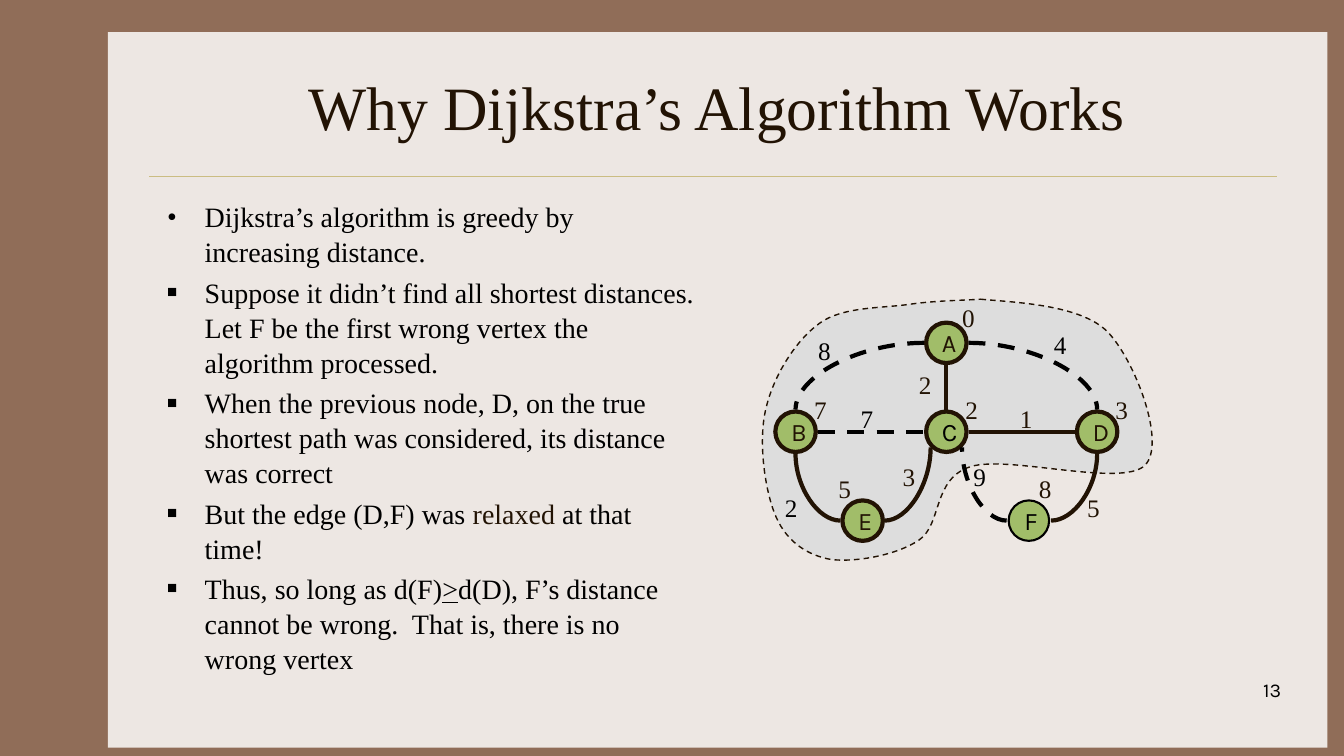
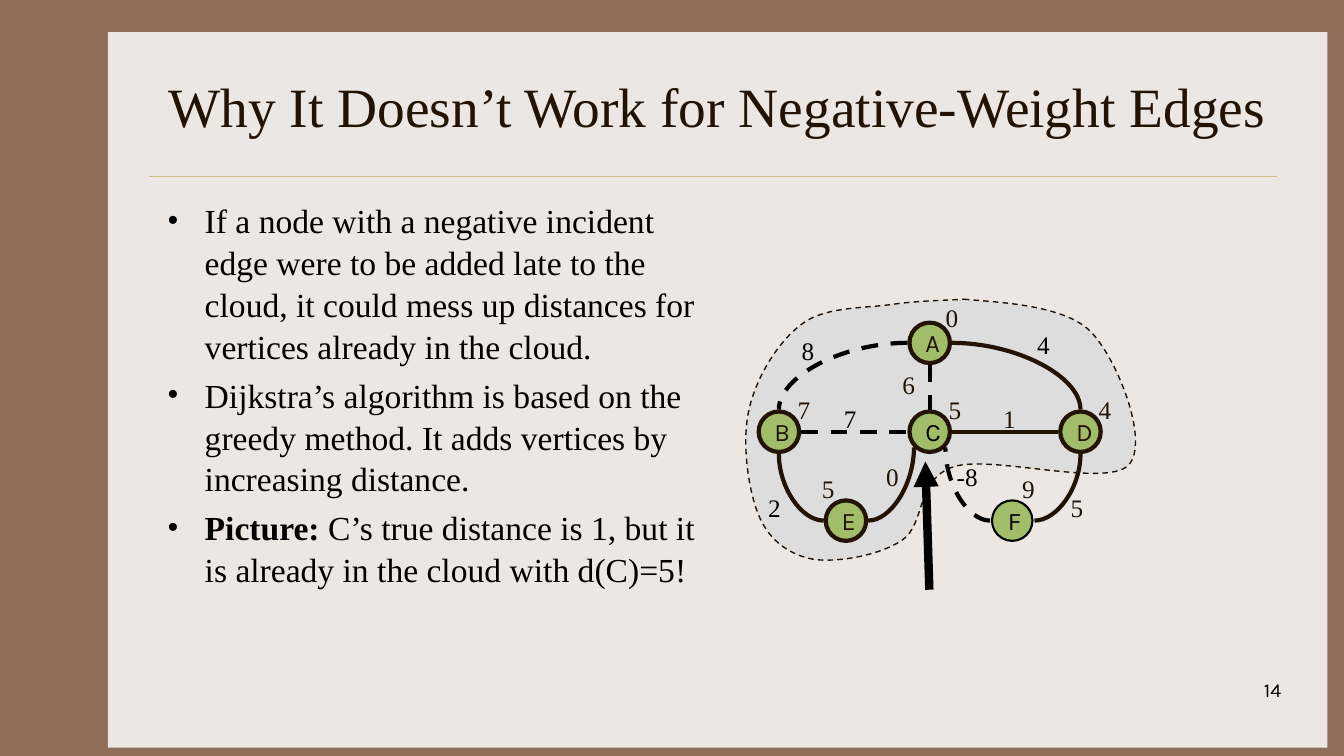
from math import cos, pi, sin

from lxml import etree
from pptx import Presentation
from pptx.dml.color import RGBColor
from pptx.enum.dml import MSO_LINE
from pptx.enum.shapes import MSO_CONNECTOR, MSO_SHAPE
from pptx.enum.text import MSO_ANCHOR, PP_ALIGN
from pptx.oxml.ns import qn
from pptx.util import Cm, Pt

RECT, OVAL = MSO_SHAPE.RECTANGLE, MSO_SHAPE.OVAL
LINE, CURVE = MSO_CONNECTOR.STRAIGHT, MSO_CONNECTOR.CURVE
DASH = MSO_LINE.DASH
TOP, MIDDLE = MSO_ANCHOR.TOP, MSO_ANCHOR.MIDDLE
LEFT, CENTER, RIGHT = PP_ALIGN.LEFT, PP_ALIGN.CENTER, PP_ALIGN.RIGHT

SERIF, SANS = "Times New Roman", "Karla"
BROWN, PAPER, GOLD = "906D58", "EDE7E3", "CBBD83"
INK, BLACK, GREEN, GRAY = "221304", "000000", "A1BD69", "DDDDDD"

# Connection sites of an oval, counted anticlockwise from the top
N, W, SW, S, SE, E = 0, 2, 3, 4, 5, 6
SIZE, REACH = 1.02, 0.56  # node diameter, centre to edge end

# Graph places in cm: x from the left of the cloud, y from the slide top
ROWS = [8.64 + 2.24 * i for i in range(3)]
COLS = [0.95 + 3.8 * i for i in range(3)]
# name: centre, then place of the distance label
NODES = {
    "A": (COLS[1], ROWS[0], 4.9, 7.49),
    "B": (COLS[0], ROWS[1], 1.17, 9.8),
    "C": (COLS[1], ROWS[1], 4.98, 9.8),
    "D": (COLS[2], ROWS[1], 8.76, 9.8),
    "E": (2.64, ROWS[2], 1.78, 11.81),
    "F": (6.83, ROWS[2], 6.83, 11.81),
}
# name: start site, end site, place and colour of the weight label
EDGES = {
    "AB": (W, N, 1.27, 8.33, BLACK),
    "EB": (W, S, 0.43, 12.27, BLACK),
    "EC": (E, SW, 3.4, 11.51, INK),
    "AC": (S, N, 3.81, 9.19, INK),
    "BC": (E, W, 2.34, 10.03, BLACK),
    "FD": (E, S, 8.05, 12.27, INK),
    "AD": (E, N, 7.21, 8.18, BLACK),
    "CD": (E, W, 6.35, 10.03, INK),
    "FC": (W, SE, 5.18, 11.51, BLACK),
}
STRAIGHT = {"AC", "BC", "CD"}
# Start point, then two control points and an end point per curve
CLOUD = [
    (5.61, 7.54),
    (6.45, 7.62), (8.13, 7.67), (8.81, 8.36),
    (9.5, 9.07), (10.31, 11.18), (9.75, 11.73),
    (9.17, 12.29), (6.3, 11.46), (5.36, 11.76),
    (4.39, 12.07), (4.65, 13.21), (4.06, 13.61),
    (3.48, 14), (2.46, 14.17), (1.85, 14.1),
    (1.27, 14), (0.74, 13.67), (0.46, 13.03),
    (0.18, 12.4), (0, 11.13), (0.2, 10.31),
    (0.38, 9.5), (0.94, 8.59), (1.55, 8.15),
    (2.13, 7.72), (3.15, 7.77), (3.81, 7.67),
    (4.5, 7.57), (5.23, 7.57), (5.61, 7.54),
]


def rgb(code):
    return RGBColor.from_string(code)


def add(parent, tag, **attrs):
    return etree.SubElement(parent, qn(tag), {k: str(v) for k, v in attrs.items()})


def site(name, spot):
    """Point where an edge meets the given site of a node."""
    x, y = NODES[name][:2]
    turn = pi / 2 + spot * pi / 4
    return x + REACH * cos(turn), y - REACH * sin(turn)


class Deck:
    def __init__(self):
        self.prs = Presentation()
        self.prs.slide_width, self.prs.slide_height = Cm(33.87), Cm(19.05)
        self.slide = self.shapes = None

    def page(self, title, size, number):
        """Start a slide with the frame, title and page number."""
        self.slide = self.prs.slides.add_slide(self.prs.slide_layouts[6])
        self.shapes = self.slide.shapes
        fill = self.slide.background.fill
        fill.solid()
        fill.fore_color.rgb = rgb(BROWN)
        self.shape(RECT, 2.72, 0.81, 30.73, 18.03, PAPER)
        self.line((3.76, 4.45), (32.18, 4.45), GOLD, 0.25)
        box = self.box(3.96, 1.07, 28.22, 3.18, MIDDLE)
        self.run(box.paragraphs[0], title, size, align=CENTER)
        box = self.box(25.48, 16.97, 7.06, 1.27)
        self.run(box.paragraphs[0], str(number), 14, BLACK, SANS, RIGHT)

    def paint(self, shape, fill, line=None, width=1.0):
        shape.shadow.inherit = False
        shape.fill.solid()
        shape.fill.fore_color.rgb = rgb(fill)
        if line:
            shape.line.color.rgb = rgb(line)
            shape.line.width = Pt(width)
        else:
            shape.line.fill.background()

    def shape(self, kind, x, y, w, h, fill, line=None, width=1.0):
        shape = self.shapes.add_shape(kind, Cm(x), Cm(y), Cm(w), Cm(h))
        self.paint(shape, fill, line, width)
        return shape

    def box(self, x, y, w, h, anchor=TOP, wrap=True):
        frame = self.shapes.add_textbox(Cm(x), Cm(y), Cm(w), Cm(h)).text_frame
        frame.word_wrap = wrap
        frame.vertical_anchor = anchor
        return frame

    def run(self, para, text, size, color=INK, face=SERIF, align=LEFT):
        para.alignment = align
        run = para.add_run()
        run.text = text
        run.font.size = Pt(size)
        run.font.name = face
        run.font.color.rgb = rgb(color)
        return run

    def line(self, start, end, color, width, kind=LINE, dash=False):
        points = [Cm(v) for v in (*start, *end)]
        line = self.shapes.add_connector(kind, *points)
        line.line.color.rgb = rgb(color)
        line.line.width = Pt(width)
        if dash:
            line.line.dash_style = DASH
        props = line._element.spPr
        if kind == CURVE:
            props.find(qn("a:prstGeom")).set("prst", "curvedConnector2")
        add(props, "a:effectLst")
        return line

    def arrow(self, start, end):
        line = self.line(start, end, BLACK, 6)
        add(line.line._get_or_add_ln(), "a:tailEnd", type="triangle")

    def bullets(self, size, items):
        """Each item is a mark and its runs: (text, colour, style)."""
        frame = self.box(3.96, 4.88, 13.82, 11.43)
        for i, (mark, runs) in enumerate(items):
            para = frame.add_paragraph() if i else frame.paragraphs[0]
            para.space_before = Pt(size * 0.2)
            para.line_spacing = 1.04
            for text, color, style in runs:
                font = self.run(para, text, size, color).font
                font.bold = style == "bold"
                font.underline = style == "under"
            props = para._p.get_or_add_pPr()
            props.set("marL", str(Cm(0.95)))
            props.set("indent", str(-Cm(0.95)))
            add(add(props, "a:buClr"), "a:srgbClr", val=BLACK)
            add(props, "a:buSzPct", val=60000 if mark == "■" else 100000)
            add(props, "a:buFont", typeface=SERIF)
            add(props, "a:buChar", char=mark)

    def cloud(self, left):
        points = [(Cm(left + x), Cm(y)) for x, y in CLOUD]
        pen = self.shapes.build_freeform(*points[0], scale=1.0)
        pen.add_line_segments(points[1:], close=True)
        shape = pen.convert_to_shape()
        self.paint(shape, GRAY, INK)
        shape.line.dash_style = DASH
        # Every three straight segments become one Bézier curve
        steps = list(shape._element.iter(qn("a:lnTo")))
        for i in range(0, len(steps), 3):
            curve = etree.Element(qn("a:cubicBezTo"))
            steps[i].addprevious(curve)
            for step in steps[i:i + 3]:
                curve.append(step[0])
                step.getparent().remove(step)

    def node(self, name, x, y):
        last = name == "F"
        shape = self.shape(OVAL, x - SIZE / 2, y - SIZE / 2, SIZE, SIZE, GREEN,
                           BLACK if last else INK, 1.5 if last else 3)
        frame = shape.text_frame
        frame.word_wrap = False
        frame.vertical_anchor = MIDDLE
        color = BLACK if name in "CF" else INK
        self.run(frame.paragraphs[0], name, 18, color, SANS)
        return shape

    def label(self, text, x, y, color=INK):
        frame = self.box(x, y, 0.64 + 0.2 * len(text), 1.02, wrap=False)
        self.run(frame.paragraphs[0], text, 18, color)

    def graph(self, left, costs, weights, dashed):
        """Draw the cloud, nodes and glued edges, then all labels."""
        self.cloud(left)
        ovals = {k: self.node(k, left + v[0], v[1]) for k, v in NODES.items()}
        for name, (first, last, *_) in EDGES.items():
            ends = [(name[0], first), (name[1], last)]
            points = [(left + x, y) for x, y in (site(*end) for end in ends)]
            dash = name in dashed
            line = self.line(*points, BLACK if dash else INK, 3,
                             LINE if name in STRAIGHT else CURVE, dash)
            glue = line._element.find(".//" + qn("p:cNvCxnSpPr"))
            for tag, (node, spot) in zip(("a:stCxn", "a:endCxn"), ends):
                add(glue, tag, id=ovals[node].shape_id, idx=spot)
        for name, cost in zip(NODES, costs):
            x, y = NODES[name][2:]
            self.label(str(cost), left + x, y)
        for name, weight in zip(EDGES, weights):
            x, y, color = EDGES[name][2:]
            self.label(str(weight), left + x, y, color)


def plain(text):
    return text, BLACK, None


def main():
    deck = Deck()

    deck.page("Why Dijkstra’s Algorithm Works", 44, 13)
    deck.bullets(20, [
        ("•", [plain("Dijkstra’s algorithm is greedy by increasing distance.")]),
        ("■", [plain("Suppose it didn’t find all shortest distances. Let F be "
                     "the first wrong vertex the algorithm processed.")]),
        ("■", [plain("When the previous node, D, on the true shortest path was "
                     "considered, its distance was correct")]),
        ("■", [plain("But the edge (D,F) was "), ("relaxed", INK, None),
               plain(" at that time!")]),
        ("■", [plain("Thus, so long as d(F)"), (">", BLACK, "under"),
               plain("d(D), F’s distance cannot be wrong.  That is, there is "
                     "no wrong vertex")]),
    ])
    deck.graph(19.1, [0, 7, 2, 3, 5, 8], [8, 2, 3, 2, 7, 5, 4, 1, 9],
               {"AB", "BC", "AD", "FC"})

    deck.page("Why It Doesn’t Work for Negative-Weight Edges", 39.6, 14)
    deck.bullets(24, [
        ("•", [plain("If a node with a negative incident edge were to be added "
                     "late to the cloud, it could mess up distances for "
                     "vertices already in the cloud.")]),
        ("•", [plain("Dijkstra’s algorithm is based on the greedy method. It "
                     "adds vertices by increasing distance.")]),
        ("•", [("Picture: ", BLACK, "bold"),
               plain("C’s true distance is 1, but it is already in the cloud "
                     "with d(C)=5!")]),
    ])
    deck.graph(18.68, [0, 7, 5, 4, 5, 9], [8, 2, 0, 6, 7, 5, 4, 1, -8],
               {"AB", "BC", "AC", "FC"})
    deck.arrow((23.42, 14.86), (23.32, 11.63))

    deck.prs.save("out.pptx")


if __name__ == "__main__":
    main()
